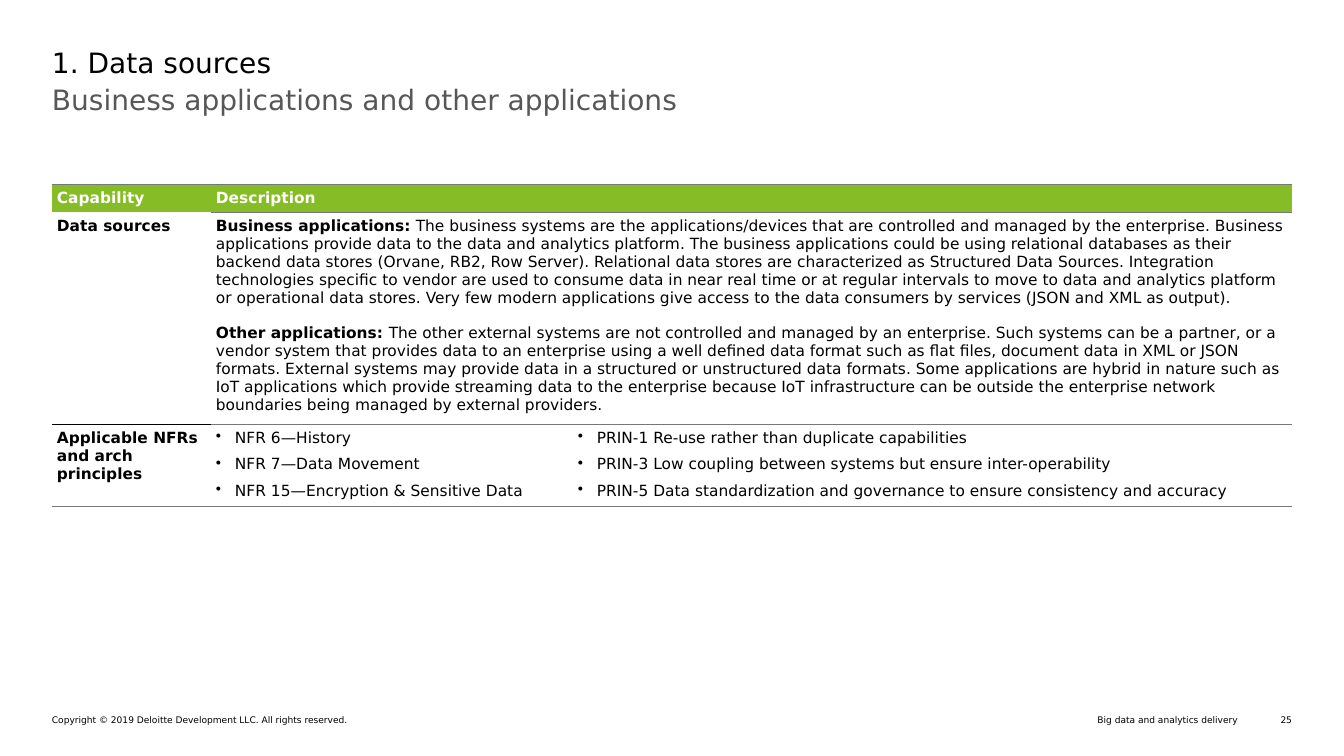
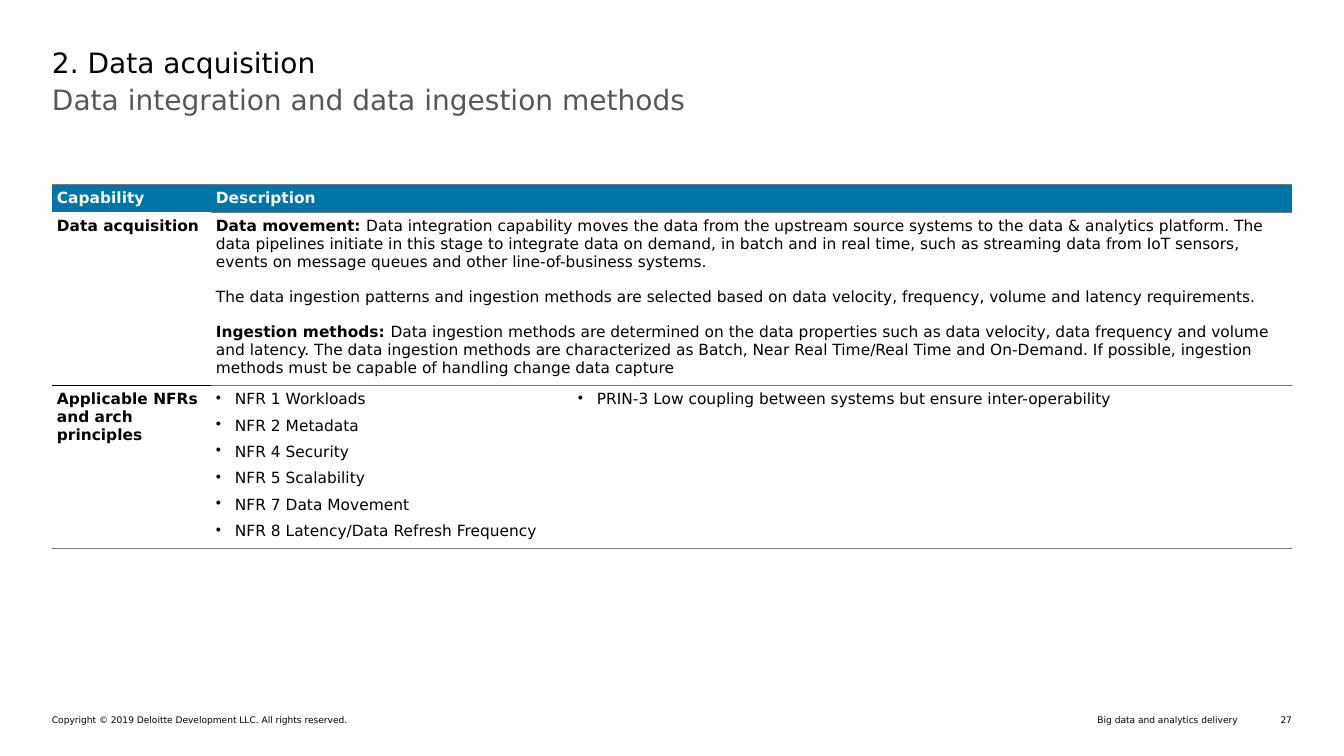
from lxml import etree
from pptx import Presentation
from pptx.dml.color import RGBColor
from pptx.enum.text import MSO_ANCHOR as Anchor, PP_ALIGN as Align
from pptx.oxml.ns import qn
from pptx.util import Emu, Pt

EMU_PER_PX = 914400 / 100.8
FONT = "DejaVu Sans"
BLACK, WHITE, GREY, RULE = "000000", "FFFFFF", "575757", "75787B"
GREEN, BLUE = "86BC25", "0076A8"
PLAIN_TABLE = "{2D5ABB26-0587-4C30-8999-92F81FD0307C}"
LEFT, WIDTH = 52, 1240
COLUMNS = (159, 362, 719)
CELL_MARGIN, BULLET_INDENT = 5, 19
COPYRIGHT = "Copyright © 2019 Deloitte Development LLC. All rights reserved."
SECTION = "Big data and analytics delivery"

PAGES = [
    {
        "number": "25",
        "title": "1. Data sources",
        "subtitle": "Business applications and other applications",
        "accent": GREEN,
        "heights": (27, 207, 81),
        "capability": "Data sources",
        "description": [
            ("Business applications:",
             " The business systems are the applications/devices that are controlled and managed by the "
             "enterprise. Business applications provide data to the data and analytics platform. The business "
             "applications could be using relational databases as their backend data stores (Orvane, RB2, "
             "Row Server). Relational data stores are characterized as Structured Data Sources. Integration "
             "technologies specific to vendor are used to consume data in near real time or at regular "
             "intervals to move to data and analytics platform or operational data stores. Very few modern "
             "applications give access to the data consumers by services (JSON and XML as output)."),
            ("Other applications: ",
             "The other external systems are not controlled and managed by an enterprise. Such systems can be "
             "a partner, or a vendor system that provides data to an enterprise using a well defined data "
             "format such as flat files, document data in XML or JSON formats. External systems may provide "
             "data in a structured or unstructured data formats. Some applications are hybrid in nature such "
             "as IoT applications which provide streaming data to the enterprise because IoT infrastructure "
             "can be outside the enterprise network boundaries being managed by external providers."),
        ],
        "requirements": ["NFR 6—History", "NFR 7—Data Movement", "NFR 15—Encryption & Sensitive Data"],
        "principles": [
            "PRIN-1 Re-use rather than duplicate capabilities",
            "PRIN-3 Low coupling between systems but ensure inter-operability",
            "PRIN-5 Data standardization and governance to ensure consistency and accuracy",
        ],
    },
    {
        "number": "27",
        "title": "2. Data acquisition",
        "subtitle": "Data integration and data ingestion methods",
        "accent": BLUE,
        "heights": (27, 170, 160),
        "capability": "Data acquisition",
        "description": [
            ("Data movement: ",
             "Data integration capability moves the data from the upstream source systems to the data & "
             "analytics platform. The data pipelines initiate in this stage to integrate data on demand, in "
             "batch and in real time, such as streaming data from IoT sensors, events on message queues and "
             "other line-of-business systems."),
            ("",
             "The data ingestion patterns and ingestion methods are selected based on data velocity, "
             "frequency, volume and latency requirements."),
            ("Ingestion methods: ",
             "Data ingestion methods are determined on the data properties such as data velocity, data "
             "frequency and volume and latency. The data ingestion methods are characterized as Batch, Near "
             "Real Time/Real Time and On-Demand. If possible, ingestion methods must be capable of handling "
             "change data capture"),
        ],
        "requirements": [
            "NFR 1 Workloads", "NFR 2 Metadata", "NFR 4 Security", "NFR 5 Scalability",
            "NFR 7 Data Movement", "NFR 8 Latency/Data Refresh Frequency",
        ],
        "principles": ["PRIN-3 Low coupling between systems but ensure inter-operability"],
    },
]


def px(length):
    """Turn pixels into EMU."""
    return Emu(round(length * EMU_PER_PX))


def colour(value):
    """Turn a hex string into a colour."""
    return RGBColor.from_string(value)


def add_span(para, text, size, value, bold=False):
    """Append one styled run to a paragraph."""
    span = para.add_run()
    span.text = text
    span.font.name = FONT
    span.font.size = Pt(size)
    span.font.bold = bold
    span.font.color.rgb = colour(value)


def add_label(page, box, text, size, value, align=Align.LEFT, anchor=Anchor.TOP):
    """Place one line of text in a box without insets."""
    frame = page.shapes.add_textbox(*map(px, box)).text_frame
    frame.margin_left = frame.margin_top = frame.margin_right = frame.margin_bottom = 0
    frame.word_wrap = True
    frame.vertical_anchor = anchor
    para = frame.paragraphs[0]
    para.alignment = align
    add_span(para, text, size, value)


def add_heading(page, box, title, subtitle):
    """Place the title with the subtitle below it."""
    left, top, width, height = box
    add_label(page, (left, top, width, 37), title, 20, BLACK, anchor=Anchor.MIDDLE)
    add_label(page, (left, top + 38, width, height - 38), subtitle, 20, GREY)


def add_footer(page, box, number):
    """Place copyright, section name and page number on one line."""
    left, top, width, height = box
    right = left + width
    add_label(page, (left, top, 591, height), COPYRIGHT, 6.5, BLACK)
    add_label(page, (right - 593, top, 539, height), SECTION, 6.5, BLACK, Align.RIGHT)
    add_label(page, (right - 34, top, 34, height), number, 6.5, BLACK, Align.RIGHT)


def style_cell(cell, fill, top, bottom):
    """Set margins, fill and the upper and lower rules of a cell."""
    cell.margin_left = cell.margin_top = cell.margin_right = cell.margin_bottom = px(CELL_MARGIN)
    cell.fill.solid()
    cell.fill.fore_color.rgb = colour(fill)
    properties = cell._tc.get_or_add_tcPr()
    for position, (tag, (value, width)) in enumerate((("a:lnT", top), ("a:lnB", bottom))):
        line = etree.Element(qn(tag), w=str(Pt(width)))
        solid = etree.SubElement(line, qn("a:solidFill"))
        etree.SubElement(solid, qn("a:srgbClr"), val=value)
        properties.insert(position, line)


def fill_cell(cell, paragraphs, value=BLACK, gap=6, bullet=False):
    """Write paragraphs, each a pair of bold and regular text, into a cell."""
    frame = cell.text_frame
    for index, (strong, regular) in enumerate(paragraphs):
        para = frame.add_paragraph() if index else frame.paragraphs[0]
        if bullet:
            properties = para._p.get_or_add_pPr()
            properties.set("marL", str(px(BULLET_INDENT)))
            properties.set("indent", str(-px(BULLET_INDENT)))
            etree.SubElement(properties, qn("a:buChar"), char="•")
        para.space_after = Pt(gap)
        for text, bold in ((strong, True), (regular, False)):
            if text:
                add_span(para, text, 11, value, bold)


def add_capability_table(page, box, content):
    """Place the table of one capability."""
    table = page.shapes.add_table(3, len(COLUMNS), *map(px, box)).table
    table.first_row = table.horz_banding = False
    table._tbl.tblPr.find(qn("a:tableStyleId")).text = PLAIN_TABLE
    for column, width in zip(table.columns, COLUMNS):
        column.width = px(width)
    for row, height in zip(table.rows, content["heights"]):
        row.height = px(height)

    outer = (RULE, 0.5)
    first_rules = (outer, (WHITE, 0.5), (BLACK, 0.25), outer)
    other_rules = (outer,) * 4
    for row, fill in enumerate((content["accent"], WHITE, WHITE)):
        for column in range(len(COLUMNS)):
            rules = other_rules if column else first_rules
            style_cell(table.cell(row, column), fill, rules[row], rules[row + 1])
    for row in (0, 1):
        table.cell(row, 1).merge(table.cell(row, 2))

    fill_cell(table.cell(0, 0), [("Capability", "")], WHITE)
    fill_cell(table.cell(0, 1), [("Description", "")], WHITE)
    fill_cell(table.cell(1, 0), [(content["capability"], "")])
    fill_cell(table.cell(1, 1), content["description"], gap=12)
    fill_cell(table.cell(2, 0), [("Applicable NFRs and arch principles", "")])
    for column, key in ((1, "requirements"), (2, "principles")):
        fill_cell(table.cell(2, column), [("", item) for item in content[key]], bullet=True)


def add_capability_page(deck, content):
    """Add one slide with heading, table and footer."""
    page = deck.slides.add_slide(deck.slide_layouts[6])
    add_footer(page, (LEFT, 714, WIDTH, 11), content["number"])
    add_heading(page, (LEFT, 44, WIDTH, 121), content["title"], content["subtitle"])
    add_capability_table(page, (LEFT, 184, WIDTH, sum(content["heights"])), content)


def main():
    """Build and save the deck."""
    deck = Presentation()
    deck.slide_width, deck.slide_height = px(1344), px(756)
    for content in PAGES:
        add_capability_page(deck, content)
    deck.save("out.pptx")


if __name__ == "__main__":
    main()
